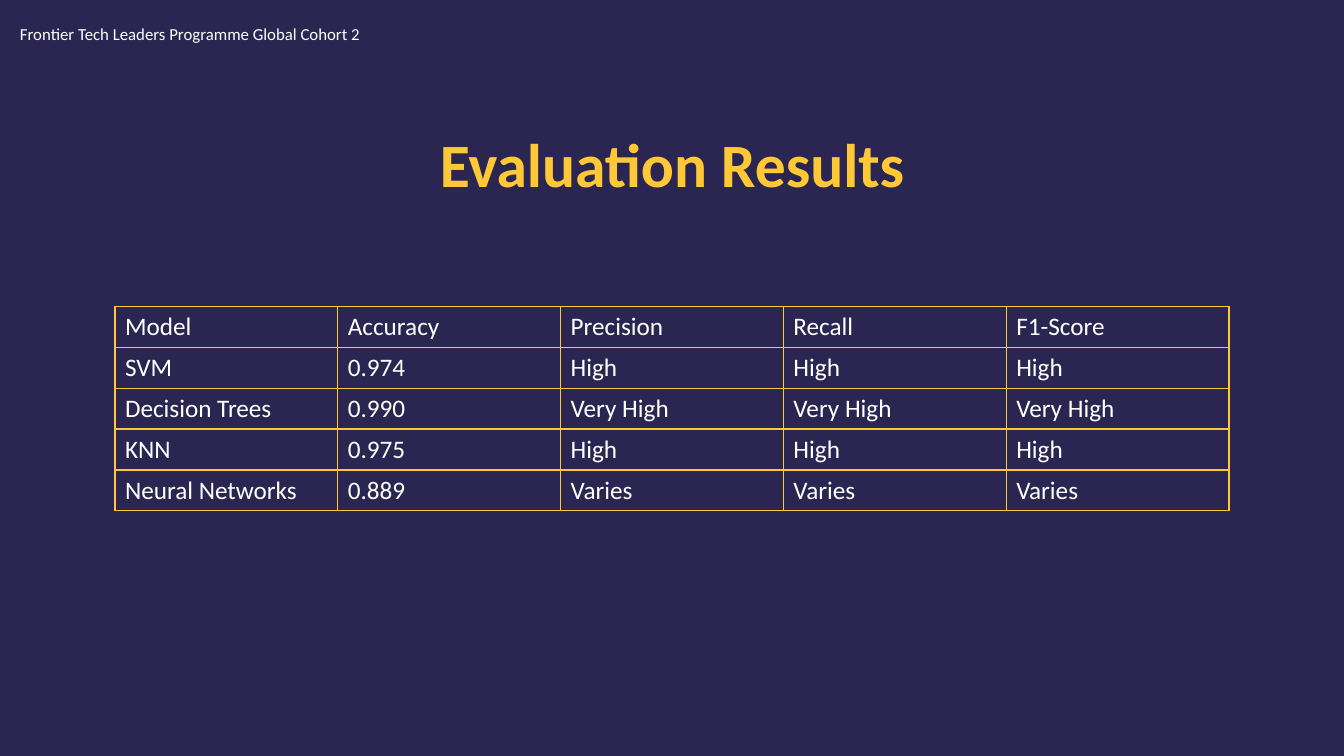
from dataclasses import dataclass

from lxml import etree
from pptx import Presentation
from pptx.dml.color import RGBColor
from pptx.enum.text import MSO_ANCHOR
from pptx.oxml.ns import qn
from pptx.util import Pt

MIDDLE = MSO_ANCHOR.MIDDLE
PX = 9144  # 100 px to the inch
TITLE_ONLY = 5


@dataclass(frozen=True)
class Theme:
    font: str = "Calibri"
    back: str = "2B2551"
    gold: str = "FFC837"
    rule: str = "FEC736"
    white: str = "FEFFFE"
    head: int = 44
    cell: int = 18
    note: int = 12


THEME = Theme()

RESULTS = [
    ["Model", "Accuracy", "Precision", "Recall", "F1-Score"],
    ["SVM", "0.974", "High", "High", "High"],
    ["Decision Trees", "0.990", "Very High", "Very High", "Very High"],
    ["KNN", "0.975", "High", "High", "High"],
    ["Neural Networks", "0.889", "Varies", "Varies", "Varies"],
]


def px(*sizes):
    return [size * PX for size in sizes]


def write(frame, text, size, color, bold=False):
    frame.text = text
    font = frame.paragraphs[0].runs[0].font
    font.name = THEME.font
    font.size = Pt(size)
    font.bold = bold
    font.color.rgb = RGBColor.from_string(color)


def add_title(slide, text, box):
    title = slide.shapes.title
    title.left, title.top, title.width, title.height = px(*box)
    frame = title.text_frame
    frame.vertical_anchor = MIDDLE
    write(frame, text, THEME.head, THEME.gold, True)
    frame.paragraphs[0].line_spacing = 0.9


def add_note(slide, text, box):
    frame = slide.shapes.add_textbox(*px(*box)).text_frame
    frame.word_wrap = True
    write(frame, text, THEME.note, THEME.white)


def rule_cell(cell):
    """Draw a gold line on all four sides of the cell."""
    props = cell._tc.get_or_add_tcPr()
    for spot, side in enumerate(("lnL", "lnR", "lnT", "lnB")):
        line = etree.Element(qn(f"a:{side}"), w=str(Pt(1)))
        fill = etree.SubElement(line, qn("a:solidFill"))
        etree.SubElement(fill, qn("a:srgbClr"), val=THEME.rule)
        props.insert(spot, line)


def add_grid(slide, rows, left, top, wide, high):
    """Add a table whose columns are wide px and rows high px."""
    count, cols = len(rows), len(rows[0])
    box = px(left, top, cols * wide, count * high)
    table = slide.shapes.add_table(count, cols, *box).table
    table.first_row = False
    table.horz_banding = False
    for r, row in enumerate(rows):
        for c, text in enumerate(row):
            cell = table.cell(r, c)
            cell.fill.background()
            cell.vertical_anchor = MIDDLE
            write(cell.text_frame, text, THEME.cell, THEME.white)
            rule_cell(cell)


def main():
    deck = Presentation()
    deck.slide_width, deck.slide_height = px(1333, 750)
    slide = deck.slides.add_slide(deck.slide_layouts[TITLE_ONLY])
    back = slide.background.fill
    back.solid()
    back.fore_color.rgb = RGBColor.from_string(THEME.back)
    add_title(slide, "Evaluation Results", (114, 116, 1106, 101))
    add_grid(slide, RESULTS, left=114, top=304, wide=221, high=40)
    add_note(slide, "Frontier Tech Leaders Programme Global Cohort 2",
             (10, 19, 554, 30))
    # Left-align the title, which the template centres
    deck.save("out.pptx")


if __name__ == "__main__":
    main()
